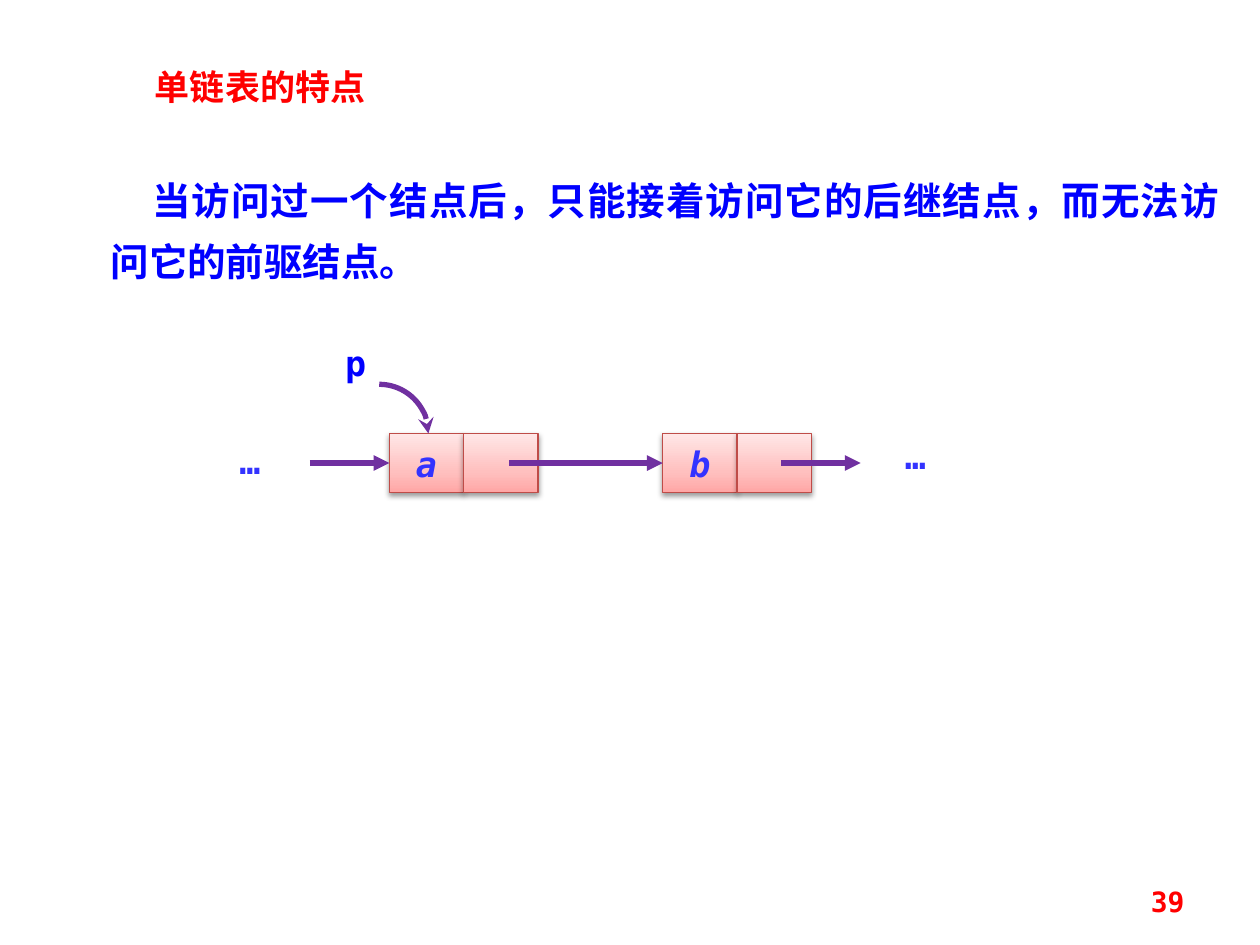
from lxml.etree import SubElement
from pptx import Presentation
from pptx.dml.color import RGBColor
from pptx.enum.shapes import MSO_CONNECTOR, MSO_SHAPE
from pptx.enum.text import MSO_ANCHOR, MSO_AUTO_SIZE, PP_ALIGN
from pptx.oxml.ns import qn
from pptx.util import Inches, Pt

FONT = "DejaVu Sans Mono"
BLUE, INK, RED, PURPLE = "0000FF", "3333FF", "FF0000", "7030A0"
CELL_W, CELL_H, CELL_Y = 0.59, 0.47, 3.44
MID_Y = CELL_Y + CELL_H / 2


def rgb(value):
    return RGBColor.from_string(value)


def write(shape, text, size, color, align, italic=False):
    p = shape.text_frame.paragraphs[0]
    p.text = text
    p.alignment = align
    r = p.runs[0]
    r.font.name, r.font.size = FONT, Pt(size)
    r.font.bold = True
    if italic:
        r.font.italic = True
    r.font.color.rgb = rgb(color)
    SubElement(r.font._element, qn("a:ea"), typeface=FONT)
    return p


def add_text(s, box, text, size, color, align=PP_ALIGN.CENTER, anchor=MSO_ANCHOR.TOP):
    tb = s.shapes.add_textbox(*map(Inches, box))
    tf = tb.text_frame
    tf.word_wrap = True
    tf.auto_size = MSO_AUTO_SIZE.NONE
    tf.vertical_anchor = anchor
    return write(tb, text, size, color, align)


def add_color(parent, value):
    return SubElement(parent, qn("a:srgbClr"), val=value)


def set_cell_gradient(shape):
    """Three stops, darkest at the bottom."""
    shape.fill.gradient()
    shape.fill.gradient_angle = 90
    stops = shape._element.spPr.find(qn("a:gradFill")).find(qn("a:gsLst"))
    for old in list(stops):
        stops.remove(old)
    for pos, color in ((0, "FFA6A5"), (35, "FFC0BF"), (100, "FFE7E7")):
        add_color(SubElement(stops, qn("a:gs"), pos=str(pos * 1000)), color)


def set_soft_shadow(shape):
    shape.shadow.inherit = False
    effects = shape._element.spPr.find(qn("a:effectLst"))
    shadow = SubElement(effects, qn("a:outerShdw"), blurRad=str(Pt(3.1)),
                        dist=str(Pt(1.6)), dir="5400000", rotWithShape="0")
    SubElement(add_color(shadow, "000000"), qn("a:alpha"), val="38000")


def add_cell(s, x, text=""):
    sp = s.shapes.add_shape(MSO_SHAPE.RECTANGLE, *map(Inches, (x, CELL_Y, CELL_W, CELL_H)))
    set_cell_gradient(sp)
    sp.line.color.rgb = rgb("BF4C48")
    sp.line.width = Pt(0.75)
    set_soft_shadow(sp)
    if text:
        sp.text_frame.word_wrap = False
        sp.text_frame.vertical_anchor = MSO_ANCHOR.MIDDLE
        write(sp, text, 20, INK, PP_ALIGN.CENTER, italic=True)
    return sp


def add_node(s, x, text):
    """Data cell and pointer cell side by side; returns the data cell."""
    data = add_cell(s, x, text)
    add_cell(s, x + CELL_W)
    return data


def style_arrow(shape, head):
    shape.line.color.rgb = rgb(PURPLE)
    shape.line.width = Pt(3)
    SubElement(shape.line._get_or_add_ln(), qn("a:tailEnd"), type=head)


def add_link(s, x1, x2, target=None):
    y = Inches(MID_Y)
    c = s.shapes.add_connector(MSO_CONNECTOR.STRAIGHT, Inches(x1), y, Inches(x2), y)
    if target is not None:
        c.end_connect(target, 1)
    style_arrow(c, "triangle")
    SubElement(c._element.spPr, qn("a:effectLst"))


def add_pointer(s, x, y, radius):
    """Quarter circle from (x, y) down to the right."""
    arc = s.shapes.add_shape(MSO_SHAPE.ARC, Inches(x - radius), Inches(y),
                             Inches(2 * radius), Inches(2 * radius))
    arc.fill.background()
    style_arrow(arc, "stealth")
    arc.shadow.inherit = False


def main():
    prs = Presentation()
    prs.slide_width, prs.slide_height = Inches(10), Inches(7.5)
    s = prs.slides.add_slide(prs.slide_layouts[6])

    p = add_text(s, (0.78, 1.25, 9, 1.06),
                 "当访问过一个结点后，只能接着访问它的后继结点，而无法访问它的前驱结点。",
                 22, BLUE, PP_ALIGN.JUSTIFY)
    p.line_spacing = 1.3
    p._p.get_or_add_pPr().set("indent", str(Inches(0.33)))
    add_text(s, (0.7, 0.47, 2.73, 0.5), "单链表的特点", 20, RED)

    node_a = add_node(s, 3.09, "a")
    node_b = add_node(s, 5.26, "b")
    add_text(s, (6.95, 3.4, 0.63, 0.5), "…", 20, INK)
    add_text(s, (1.67, 3.44, 0.63, 0.5), "…", 20, INK)

    add_pointer(s, 3.01, 3.05, 0.39)
    add_text(s, (2.64, 2.66, 0.47, 0.5), "p", 20, BLUE, PP_ALIGN.LEFT)

    add_link(s, 2.46, 3.09, node_a)
    add_link(s, 4.04, 5.26, node_b)
    add_link(s, 6.2, 6.83)

    add_text(s, (7.17, 6.95, 2.33, 0.4), "39", 16, RED, PP_ALIGN.RIGHT, MSO_ANCHOR.MIDDLE)
    prs.save("out.pptx")


if __name__ == "__main__":
    main()
